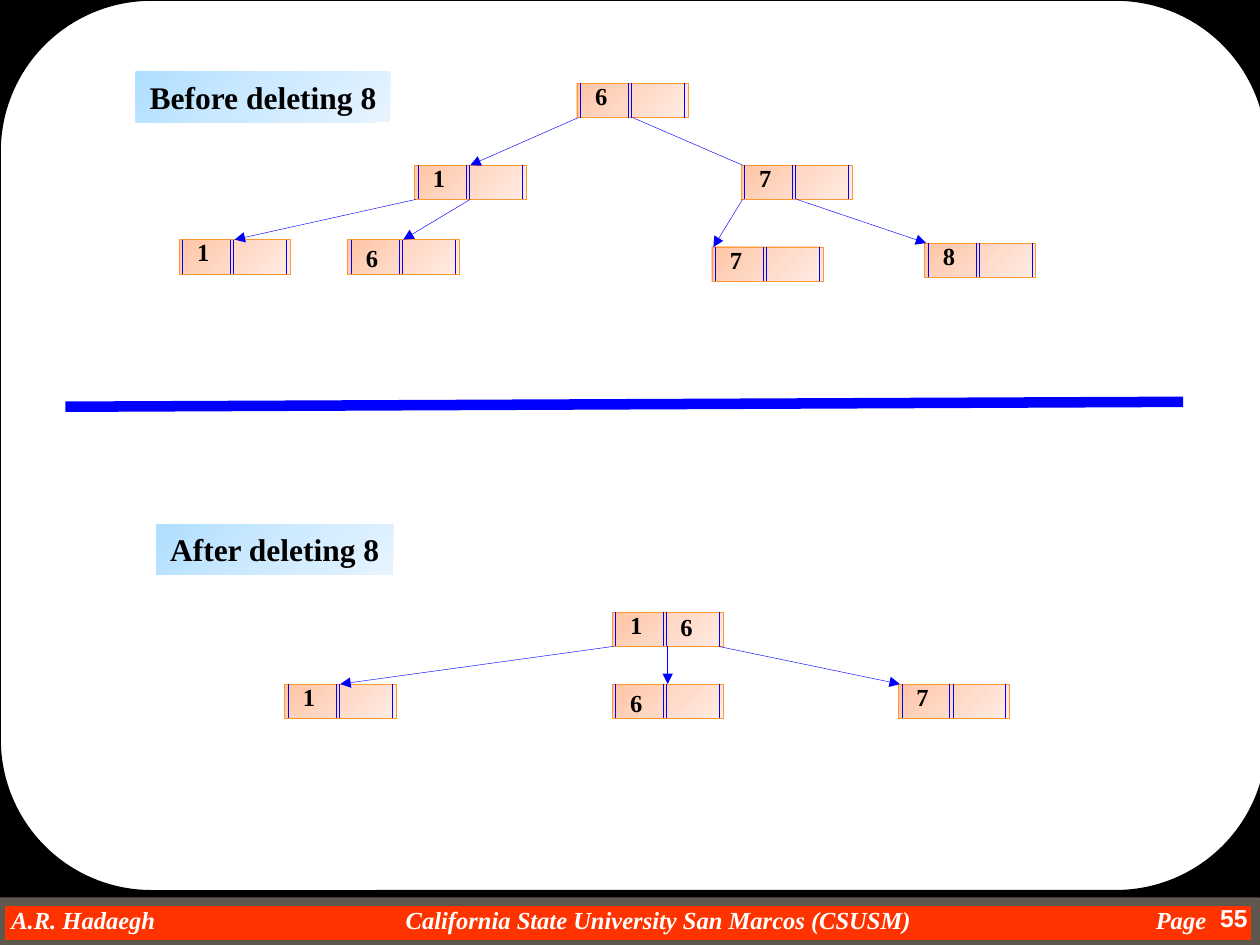
from dataclasses import dataclass

from lxml import etree
from pptx import Presentation
from pptx.dml.color import RGBColor
from pptx.enum.shapes import MSO_CONNECTOR, MSO_SHAPE
from pptx.enum.text import MSO_ANCHOR, MSO_AUTO_SIZE, PP_ALIGN
from pptx.oxml.ns import qn
from pptx.util import Cm, Pt

RECTANGLE = MSO_SHAPE.RECTANGLE
ROUNDED = MSO_SHAPE.ROUNDED_RECTANGLE
STRAIGHT = MSO_CONNECTOR.STRAIGHT
LEFT, CENTER, RIGHT = PP_ALIGN.LEFT, PP_ALIGN.CENTER, PP_ALIGN.RIGHT
TOP_SIDE, BOTTOM_SIDE = 0, 2


@dataclass(frozen=True)
class Theme:
    black: str = "000000"
    white: str = "FFFFFF"
    blue: str = "0000FF"
    footer: str = "FF3300"
    footer_edge: str = "5E574E"
    node_edge: str = "FF9933"
    node_fill: tuple = ("FFC4A3", "FFD9C7", "FFECE4")
    label_fill: tuple = ("AFDFFF", "CEEAFF", "E7F4FF")
    serif: str = "Times New Roman"
    sans: str = "Arial"
    body_size: int = 14
    label_size: int = 18
    thin: float = 0.25
    thick: float = 6


@dataclass(frozen=True)
class Node:
    left: float
    top: float
    key: str
    second_key: str = ""
    key_shift: float = -0.17


@dataclass(frozen=True)
class Link:
    """Runs from the bottom of one node to the top of another, "left", "middle" or "right"."""
    parent: int
    child: int
    start: str
    end: str
    arrow: bool = True


@dataclass(frozen=True)
class Tree:
    label: str
    label_box: tuple
    nodes: tuple
    links: tuple


THEME = Theme()
NODE_WIDTH, NODE_HEIGHT = 2.24, 0.69
DIVIDERS = (1.03, 1.1, 0.07, 2.16)
KEY_WIDTH, KEY_HEIGHT = 0.76, 0.86
CORNERS = {"left": 0.03, "middle": NODE_WIDTH / 2, "right": 2.14}

BEFORE = Tree(
    "Before deleting 8", (2.74, 1.45, 5.13, 1.02),
    (Node(11.63, 1.68, "6"), Node(8.36, 3.33, "1"), Node(14.94, 3.33, "7"),
     Node(3.61, 4.83, "1"), Node(7.01, 4.83, "6", key_shift=-0.05),
     Node(14.35, 4.98, "7"), Node(18.64, 4.9, "8")),
    (Link(0, 1, "left", "middle"), Link(0, 2, "middle", "left", arrow=False),
     Link(1, 3, "left", "middle"), Link(1, 4, "middle", "middle"),
     Link(2, 5, "left", "left"), Link(2, 6, "middle", "left")))
AFTER = Tree(
    "After deleting 8", (3.15, 10.57, 4.78, 1.02),
    (Node(12.34, 12.34, "1", second_key="6"), Node(5.74, 13.79, "1"),
     Node(12.34, 13.79, "6", key_shift=-0.05), Node(18.11, 13.79, "7")),
    (Link(0, 1, "left", "middle"), Link(0, 2, "middle", "middle"),
     Link(0, 3, "right", "left")))


def color(value: str) -> RGBColor:
    return RGBColor.from_string(value)


def set_gradient(shape, stops: tuple) -> None:
    """Fill with a circular gradient that spreads from the top left corner."""
    shape.fill.background()
    empty_fill = shape._element.spPr.find(qn("a:noFill"))
    gradient = etree.Element(qn("a:gradFill"), rotWithShape="1")
    stop_list = etree.SubElement(gradient, qn("a:gsLst"))
    for index, value in enumerate(stops):
        stop = etree.SubElement(stop_list, qn("a:gs"), pos=str(index * 50000))
        etree.SubElement(stop, qn("a:srgbClr"), val=value)
    circle = etree.SubElement(gradient, qn("a:path"), path="circle")
    etree.SubElement(circle, qn("a:fillToRect"), r="100000", b="100000")
    empty_fill.getparent().replace(empty_fill, gradient)


def add_box(shapes, box: tuple, fill, edge: str = "", edge_width: float = 0, kind=RECTANGLE):
    shape = shapes.add_shape(kind, *map(Cm, box))
    shape.shadow.inherit = False
    if isinstance(fill, tuple):
        set_gradient(shape, fill)
    else:
        shape.fill.solid()
        shape.fill.fore_color.rgb = color(fill)
    if edge:
        shape.line.color.rgb = color(edge)
        shape.line.width = Pt(edge_width)
    else:
        shape.line.fill.background()
    return shape


def add_line(shapes, start: tuple, end: tuple, width: float = THEME.thin, arrow: bool = False):
    line = shapes.add_connector(STRAIGHT, *map(Cm, start + end))
    line.line.color.rgb = color(THEME.blue)
    line.line.width = Pt(width)
    if arrow:
        etree.SubElement(line.line._get_or_add_ln(), qn("a:tailEnd"), type="triangle")
    etree.SubElement(line._element.spPr, qn("a:effectLst"))
    return line


def write(shape, text: str, *, size: int = THEME.body_size, font: str = THEME.serif,
          ink: str = THEME.black, italic: bool = False, align=CENTER,
          wrap: bool = False, tabs: tuple = ()) -> None:
    frame = shape.text_frame
    frame.word_wrap = wrap
    frame.auto_size = MSO_AUTO_SIZE.NONE if wrap else MSO_AUTO_SIZE.SHAPE_TO_FIT_TEXT
    frame.vertical_anchor = MSO_ANCHOR.TOP
    paragraph = frame.paragraphs[0]
    paragraph.text = text
    paragraph.alignment = align
    if tabs:
        tab_list = etree.SubElement(paragraph._p.get_or_add_pPr(), qn("a:tabLst"))
        for position in tabs:
            etree.SubElement(tab_list, qn("a:tab"), pos=str(Cm(position)), algn="l")
    style = paragraph.runs[0].font
    style.name, style.size = font, Pt(size)
    style.bold, style.italic = True, italic
    style.color.rgb = color(ink)


def add_key(shapes, left: float, top: float, key: str) -> None:
    write(shapes.add_textbox(*map(Cm, (left, top, KEY_WIDTH, KEY_HEIGHT))), key)


def add_node(shapes, node: Node):
    rectangle = add_box(shapes, (node.left, node.top, NODE_WIDTH, NODE_HEIGHT),
                        THEME.node_fill, THEME.node_edge, THEME.thin)
    for offset in DIVIDERS:
        x = node.left + offset
        add_line(shapes, (x, node.top), (x, node.top + NODE_HEIGHT))
    add_key(shapes, node.left + 0.11, node.top + node.key_shift, node.key)
    if node.second_key:
        add_key(shapes, node.left + 1.12, node.top - 0.13, node.second_key)
    return rectangle


def add_tree(slide, tree: Tree) -> None:
    shapes = slide.shapes.add_group_shape().shapes
    rectangles = [add_node(shapes, node) for node in tree.nodes]
    for link in tree.links:
        parent, child = tree.nodes[link.parent], tree.nodes[link.child]
        line = add_line(shapes,
                        (parent.left + CORNERS[link.start], parent.top + NODE_HEIGHT),
                        (child.left + CORNERS[link.end], child.top), arrow=link.arrow)
        if link.start == "middle":
            line.begin_connect(rectangles[link.parent], BOTTOM_SIDE)
        if link.end == "middle":
            line.end_connect(rectangles[link.child], TOP_SIDE)
    label = add_box(shapes, tree.label_box, THEME.label_fill)
    write(label, tree.label, size=THEME.label_size)


def add_frame(slide) -> None:
    """Draw the footer bar, its text and the white rounded page."""
    shapes = slide.shapes
    add_box(shapes, (0, 18.16, 25.32, 0.89), THEME.footer, THEME.footer_edge, THEME.thick)
    footer = shapes.add_textbox(*map(Cm, (0.23, 18.24, 24.8, 0.58)))
    frame = footer.text_frame
    frame.margin_left = frame.margin_right = frame.margin_top = frame.margin_bottom = 0
    write(footer, "A.R. Hadaegh\tCalifornia State University San Marcos (CSUSM)\tPage",
          ink=THEME.white, italic=True, align=LEFT, wrap=True, tabs=(7.95, 23.07))
    add_box(shapes, (0, 0.03, 25.4, 18.06), THEME.black)
    page = add_box(shapes, (0, 0, 25.55, 17.96), THEME.white, THEME.black, 1, kind=ROUNDED)
    page.adjustments[0] = 0.17
    number = shapes.add_textbox(*map(Cm, (23.5, 18.08, 1.9, 0.97)))
    write(number, "55", font=THEME.sans, ink=THEME.white, align=RIGHT, wrap=True)


def main() -> None:
    presentation = Presentation()
    presentation.slide_width, presentation.slide_height = Cm(25.4), Cm(19.05)
    slide = presentation.slides.add_slide(presentation.slide_layouts[6])
    slide.background.fill.solid()
    slide.background.fill.fore_color.rgb = color(THEME.black)
    add_frame(slide)
    add_line(slide.shapes, (1.32, 8.2), (23.85, 8.1), THEME.thick)
    for tree in (BEFORE, AFTER):
        add_tree(slide, tree)
    presentation.save("out.pptx")


if __name__ == "__main__":
    main()
